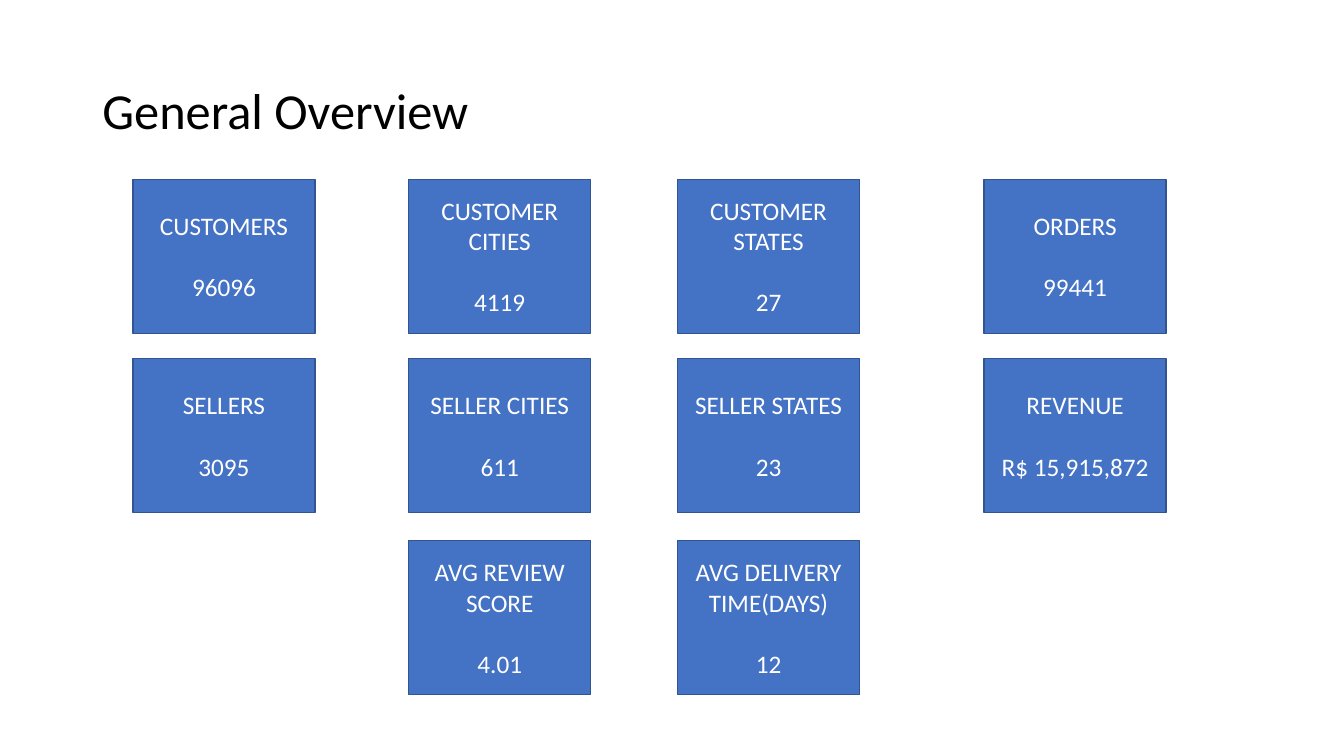
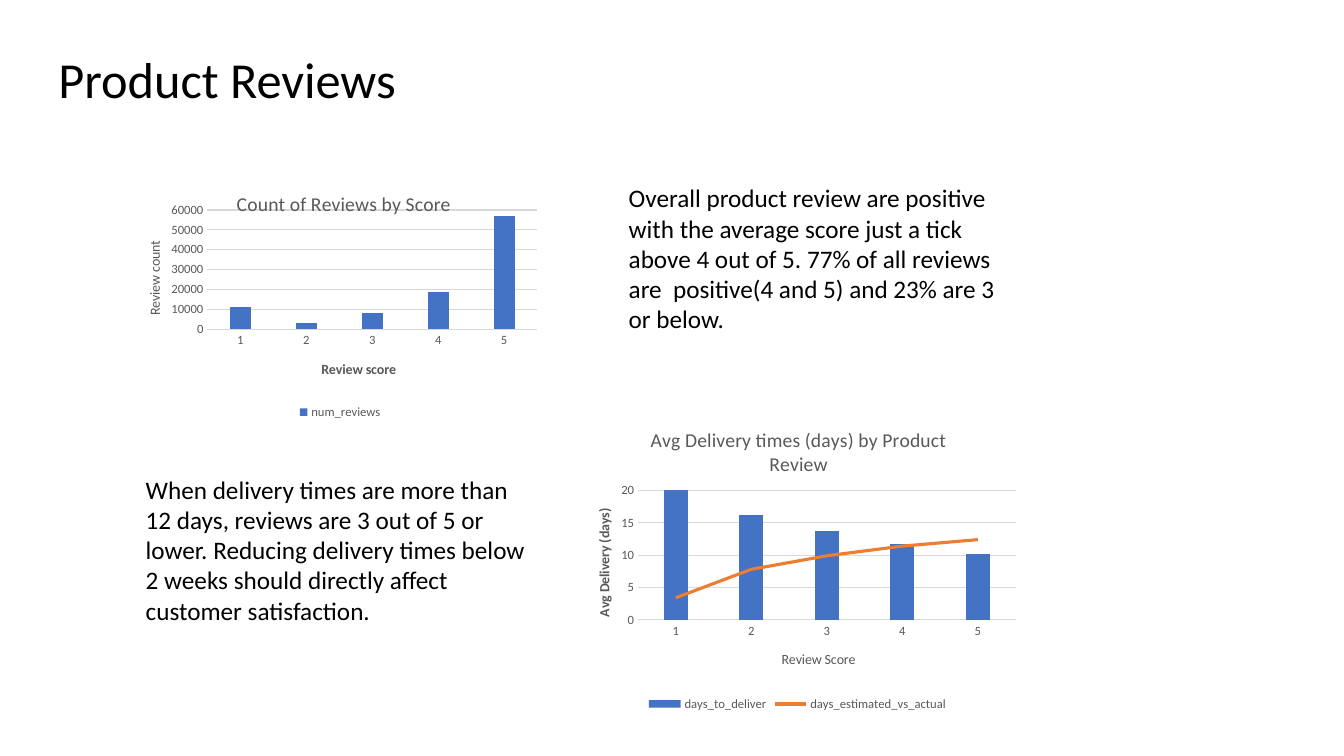
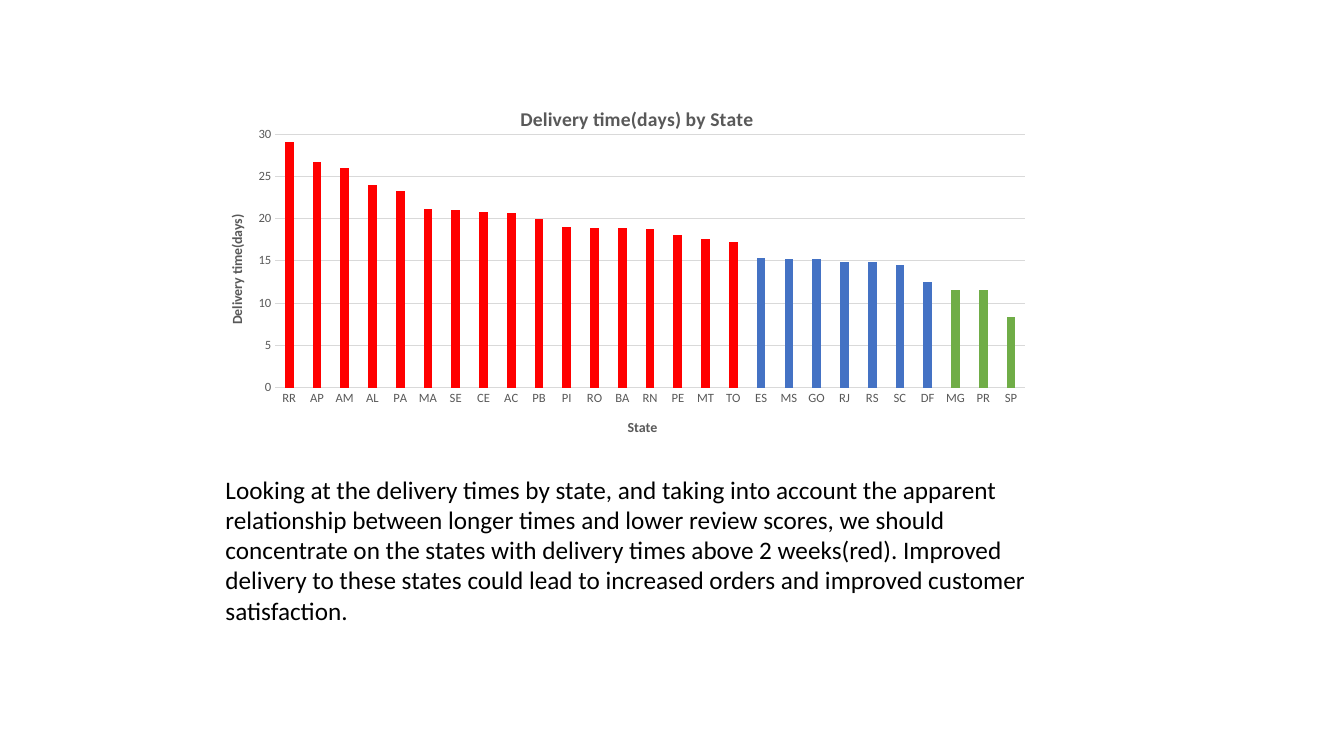
from lxml.etree import SubElement
from pptx import Presentation
from pptx.chart.data import CategoryChartData
from pptx.dml.color import RGBColor
from pptx.enum.chart import XL_CHART_TYPE, XL_LEGEND_POSITION, XL_MARKER_STYLE, XL_TICK_LABEL_POSITION, XL_TICK_MARK
from pptx.enum.shapes import MSO_SHAPE
from pptx.enum.text import MSO_ANCHOR, MSO_AUTO_SIZE, PP_ALIGN
from pptx.oxml import parse_xml
from pptx.oxml.ns import nsdecls, qn
from pptx.util import Pt

COLORS = {
    "text": "000000",
    "white": "FFFFFF",
    "blue": "4472C4",
    "card_edge": "325491",
    "orange": "ED7D31",
    "red": "FF0000",
    "green": "70AD47",
    "chart_text": "595959",
    "grid": "D9D9D9",
}
FONT = "Calibri"
TITLE_SIZE = (828, 104)
CARD_SIZE = (130, 110)
CARD_COLUMNS = (95, 292, 484, 703)
CARD_ROWS = (128, 256, 386)
CARDS = (
    (None, None, None, None),
    (None, None, None, None),
    (None, None, None, None),
)
CARDS = (
    (("CUSTOMERS", "96096"), ("CUSTOMER CITIES", "4119"), ("CUSTOMER STATES", "27"), ("ORDERS", "99441")),
    (("SELLERS", "3095"), ("SELLER CITIES", "611"), ("SELLER STATES", "23"), ("REVENUE", "R$ 15,915,872")),
    (None, ("AVG REVIEW SCORE", "4.01"), ("AVG DELIVERY TIME(DAYS)", "12"), None),
)
SCORES = ("1", "2", "3", "4", "5")
DELIVERY_DAYS = {
    "RR": 29, "AP": 26.7, "AM": 26, "AL": 24, "PA": 23.3, "MA": 21.1, "SE": 21,
    "CE": 20.8, "AC": 20.6, "PB": 20, "PI": 19, "RO": 18.9, "BA": 18.9, "RN": 18.8,
    "PE": 18, "MT": 17.6, "TO": 17.2, "ES": 15.3, "MS": 15.2, "GO": 15.2, "RJ": 14.8,
    "RS": 14.8, "SC": 14.5, "DF": 12.5, "MG": 11.5, "PR": 11.5, "SP": 8.3,
}
SLOW_DAYS, FAST_DAYS = 16, 12


def color(name):
    return RGBColor.from_string(COLORS[name])


def apply_format(target, values):
    for attribute, value in values.items():
        setattr(target, attribute, value)


def format_font(font, size, color_name="text", bold=False):
    apply_format(font, {"name": FONT, "size": Pt(size), "bold": bold})
    font.color.rgb = color(color_name)


def format_line(line, color_name, width):
    line.color.rgb = color(color_name)
    line.width = Pt(width)


def paint(fill, color_name):
    fill.solid()
    fill.fore_color.rgb = color(color_name)


def add_titled_slide(deck, title, left, top):
    slide = deck.slides.add_slide(deck.slide_layouts[5])
    heading = slide.shapes.title
    width, height = TITLE_SIZE
    apply_format(heading, {"left": Pt(left), "top": Pt(top), "width": Pt(width), "height": Pt(height)})
    heading.text_frame.text = title
    apply_format(heading.text_frame, {"vertical_anchor": MSO_ANCHOR.MIDDLE, "word_wrap": True})
    paragraph = heading.text_frame.paragraphs[0]
    apply_format(paragraph, {"alignment": PP_ALIGN.LEFT, "line_spacing": 0.9})
    format_font(paragraph.runs[0].font, 36)
    return slide


def add_card(slide, left, top, label, figure):
    card = slide.shapes.add_shape(MSO_SHAPE.RECTANGLE, Pt(left), Pt(top), *map(Pt, CARD_SIZE))
    card.shadow.inherit = False
    paint(card.fill, "blue")
    format_line(card.line, "card_edge", 1)
    frame = card.text_frame
    frame.text = f"{label}\n{figure}"
    apply_format(frame, {"word_wrap": True, "vertical_anchor": MSO_ANCHOR.MIDDLE})
    for paragraph in frame.paragraphs:
        paragraph.alignment = PP_ALIGN.CENTER
        format_font(paragraph.runs[0].font, 18, "white")
    frame.paragraphs[0].space_after = Pt(22)


def add_comment_text(slide, box, text):
    frame = slide.shapes.add_textbox(*map(Pt, box)).text_frame
    frame.text = text
    apply_format(frame, {"word_wrap": True, "auto_size": MSO_AUTO_SIZE.SHAPE_TO_FIT_TEXT})
    format_font(frame.paragraphs[0].runs[0].font, 18)


def set_layout(parent, index, values):
    for previous in parent.findall(qn("c:layout")):
        parent.remove(previous)
    layout = parse_xml(f"<c:layout {nsdecls('c')}><c:manualLayout/></c:layout>")
    parent.insert(index, layout)
    for tag, value in values.items():
        SubElement(layout[0], qn(f"c:{tag}")).set("val", str(value))


def place_plot(chart, left, top, width, height):
    set_layout(chart._chartSpace.chart.plotArea, 0, {
        "layoutTarget": "inner", "xMode": "edge", "yMode": "edge",
        "x": left, "y": top, "w": width, "h": height,
    })


def add_chart_text(title, text, size, bold, place):
    title.text_frame.text = text
    format_font(title.text_frame.paragraphs[0].runs[0].font, size, "chart_text", bold)
    left, top = place
    set_layout(title._element, 1, {"xMode": "edge", "yMode": "edge", "x": left, "y": top})


def format_axis(axis, title):
    apply_format(axis, {
        "major_tick_mark": XL_TICK_MARK.NONE,
        "minor_tick_mark": XL_TICK_MARK.NONE,
        "tick_label_position": XL_TICK_LABEL_POSITION.NEXT_TO_AXIS,
    })
    format_font(axis.tick_labels.font, 9, "chart_text")
    add_chart_text(axis.axis_title, *title)


def add_column_chart(slide, box, categories, series, title, category_title, value_title, scale, plot_area):
    chart_data = CategoryChartData()
    chart_data.categories = categories
    for name, values in series.items():
        chart_data.add_series(name, values)
    chart = slide.shapes.add_chart(XL_CHART_TYPE.COLUMN_CLUSTERED, *map(Pt, box), chart_data).chart
    format_font(chart.font, 10)
    apply_format(chart, {"has_title": True, "has_legend": False})
    add_chart_text(chart.chart_title, *title)
    format_axis(chart.category_axis, category_title)
    format_line(chart.category_axis.format.line, "grid", 0.75)
    value_axis = chart.value_axis
    format_axis(value_axis, value_title)
    maximum, step = scale
    apply_format(value_axis, {"minimum_scale": 0, "maximum_scale": maximum, "major_unit": step})
    value_axis.format.line.fill.background()
    format_line(value_axis.major_gridlines.format.line, "grid", 0.75)
    text_body = value_axis.axis_title.text_frame._txBody.find(qn("a:bodyPr"))
    apply_rotation = {"rot": "-5400000", "vert": "horz"}
    for attribute, value in apply_rotation.items():
        text_body.set(attribute, value)
    apply_format(chart.plots[0], {"gap_width": 219, "overlap": -27, "vary_by_categories": False})
    paint(chart.plots[0].series[0].format.fill, "blue")
    place_plot(chart, *plot_area)
    return chart


def add_legend(chart):
    chart.has_legend = True
    apply_format(chart.legend, {"position": XL_LEGEND_POSITION.BOTTOM, "include_in_layout": False})
    format_font(chart.legend.font, 9, "chart_text")


def turn_last_series_into_line(chart, color_name):
    columns = chart._chartSpace.chart.plotArea.find(qn("c:barChart"))
    line_plot = parse_xml(
        f"<c:lineChart {nsdecls('c')}><c:grouping val='standard'/><c:varyColors val='0'/></c:lineChart>"
    )
    series = columns.findall(qn("c:ser"))[-1]
    for invert in series.findall(qn("c:invertIfNegative")):
        series.remove(invert)
    line_plot.append(series)
    SubElement(line_plot, qn("c:marker")).set("val", "1")
    for axis in columns.findall(qn("c:axId")):
        SubElement(line_plot, qn("c:axId")).set("val", axis.get("val"))
    columns.addnext(line_plot)
    trend = chart.plots[1].series[0]
    trend.smooth = False
    trend.marker.style = XL_MARKER_STYLE.NONE
    format_line(trend.format.line, color_name, 2.25)


def speed_color(days):
    if days > SLOW_DAYS:
        return "red"
    return "blue" if days > FAST_DAYS else "green"


def build_overview(deck):
    slide = add_titled_slide(deck, "General Overview", 66, 29)
    for top, row in zip(CARD_ROWS, CARDS):
        for left, card in zip(CARD_COLUMNS, row):
            if card:
                add_card(slide, left, top, *card)


def build_reviews(deck):
    slide = add_titled_slide(deck, "Product Reviews", 34.5, 7)
    review_counts = add_column_chart(
        slide, (90, 121, 306, 181.5), SCORES,
        {"num_reviews": (11000, 3000, 8000, 19000, 57000)},
        ("Count of Reviews by Score", 14, False, (0.25, 0.07)),
        ("Review score", 10, True, (0.45, 0.74)),
        ("Review count", 10, False, (0.04, 0.27)),
        (60000, 10000), (0.19, 0.16, 0.77, 0.47),
    )
    add_legend(review_counts)
    delivery_by_score = add_column_chart(
        slide, (407, 291, 325, 220), SCORES,
        {
            "days_to_deliver": (20.8, 16.2, 13.8, 11.8, 10.2),
            "days_estimated_vs_actual": (3.4, 7.8, 9.9, 11.4, 12.4),
        },
        ("Avg Delivery times (days) by Product Review", 14, False, (0.17, 0.05)),
        ("Review Score", 10, False, (0.46, 0.78)),
        ("Avg Delivery (days)", 10, True, (0.05, 0.32)),
        (20, 5), (0.15, 0.27, 0.83, 0.42),
    )
    turn_last_series_into_line(delivery_by_score, "orange")
    add_legend(delivery_by_score)
    add_comment_text(
        slide, (442, 127, 284, 117),
        "Overall product review are positive with the average score just a tick above 4 out of 5. "
        "77% of all reviews are  positive(4 and 5) and 23% are 3 or below.",
    )
    add_comment_text(
        slide, (97, 335, 295, 117),
        "When delivery times are more than 12 days, reviews are 3 out of 5 or lower. "
        "Reducing delivery times below 2 weeks should directly affect customer satisfaction.",
    )


def build_states(deck):
    slide = deck.slides.add_slide(deck.slide_layouts[6])
    delivery_by_state = add_column_chart(
        slide, (155, 57.5, 595, 257), list(DELIVERY_DAYS),
        {"Series 1": list(DELIVERY_DAYS.values())},
        ("Delivery time(days) by State", 14, True, (0.36, 0.06)),
        ("State", 10, True, (0.49, 0.94)),
        ("Delivery time(days)", 10, True, (0.01, 0.37)),
        (30, 5), (0.07, 0.15, 0.9, 0.71),
    )
    states = delivery_by_state.plots[0].series[0]
    paint(states.format.fill, "red")
    for index, days in enumerate(DELIVERY_DAYS.values()):
        if speed_color(days) != "red":
            paint(states.points[index].format.fill, speed_color(days))
    add_comment_text(
        slide, (154, 335, 595.5, 117),
        "Looking at the delivery times by state, and taking into account the apparent relationship "
        "between longer times and lower review scores, we should concentrate on the states with "
        "delivery times above 2 weeks(red). Improved delivery to these states could lead to "
        "increased orders and improved customer satisfaction.",
    )


def main():
    deck = Presentation()
    apply_format(deck, {"slide_width": Pt(960), "slide_height": Pt(540)})
    build_overview(deck)
    build_reviews(deck)
    build_states(deck)
    deck.save("out.pptx")


if __name__ == "__main__":
    main()
